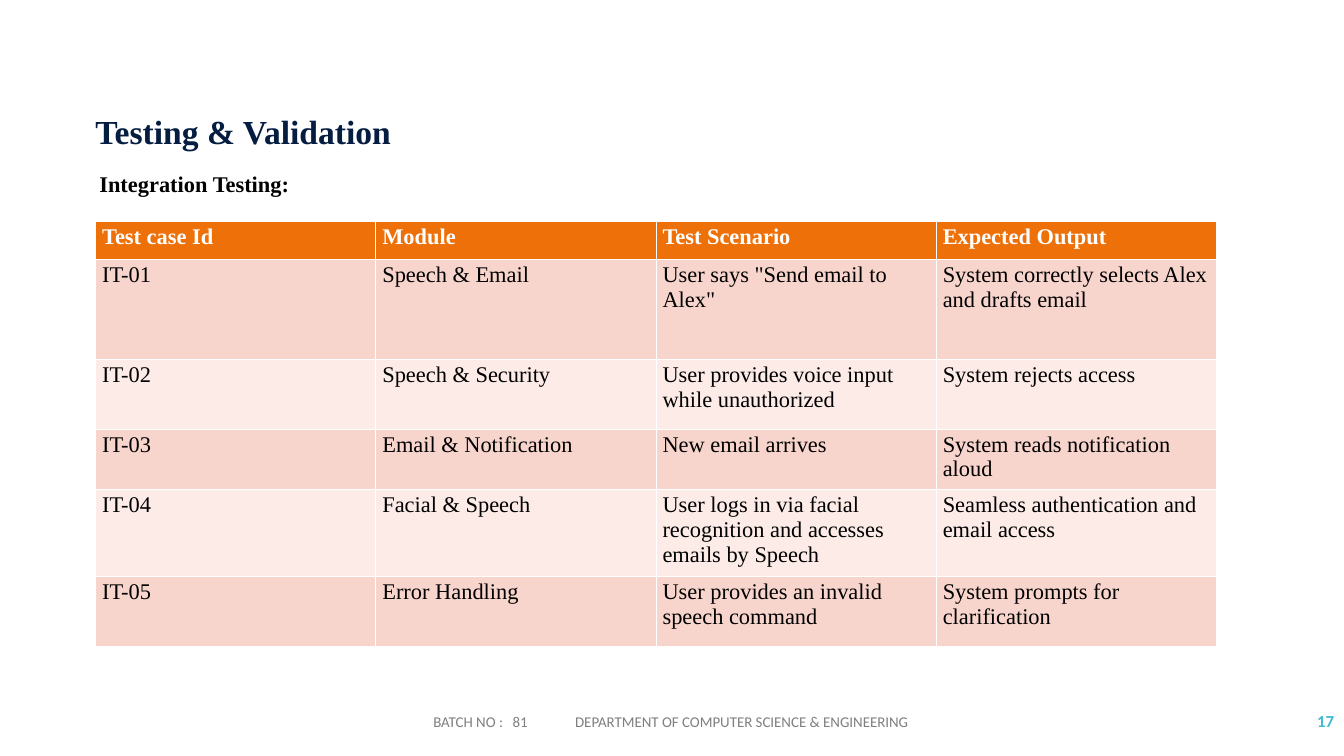
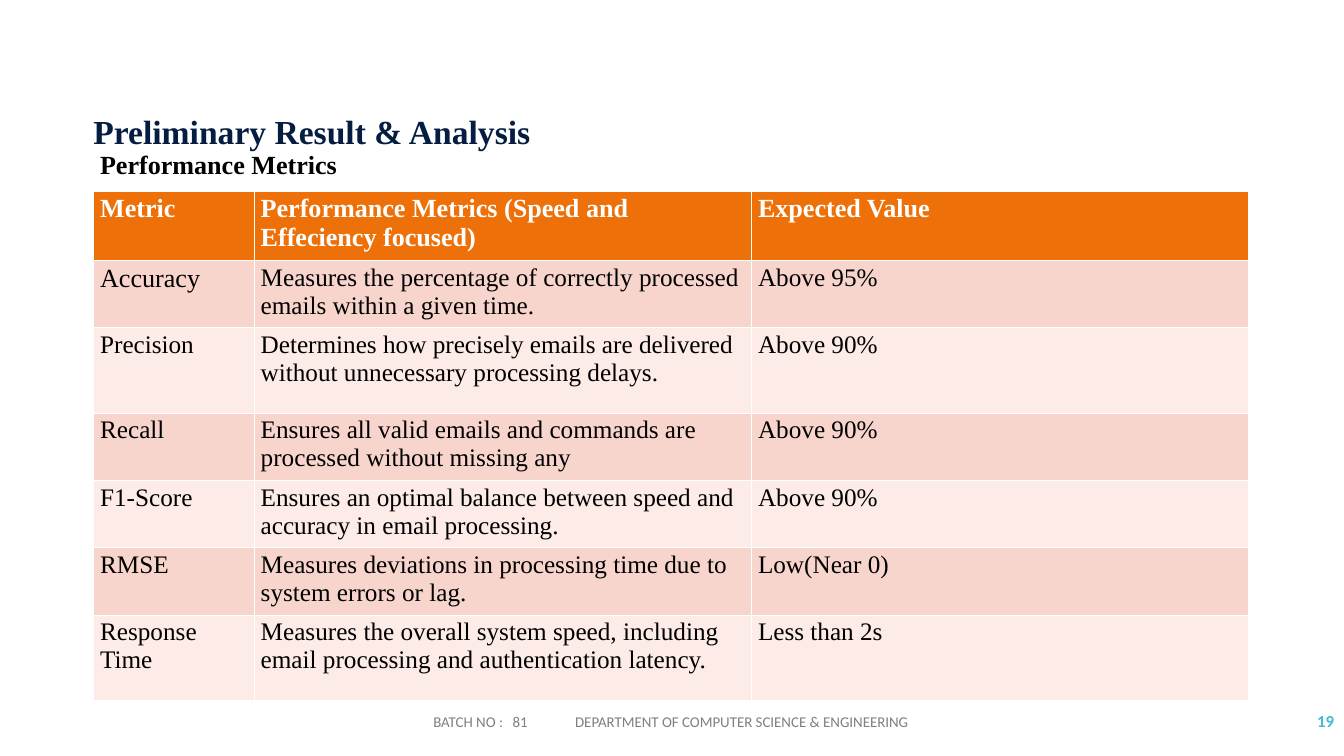
"""Builds the testing and result slides of a project review."""
from lxml import etree
from pptx import Presentation
from pptx.dml.color import RGBColor
from pptx.enum.text import MSO_ANCHOR, PP_ALIGN
from pptx.oxml.ns import qn
from pptx.util import Inches, Pt

LEFT, RIGHT = PP_ALIGN.LEFT, PP_ALIGN.RIGHT
TOP, MIDDLE = MSO_ANCHOR.TOP, MSO_ANCHOR.MIDDLE
NAVY = RGBColor(0x05, 0x1D, 0x40)
BLACK = RGBColor(0, 0, 0)
WHITE = RGBColor(0xFF, 0xFF, 0xFF)
GREY = RGBColor(0x7F, 0x7F, 0x7F)
CYAN = RGBColor(0x40, 0xBA, 0xD2)
ORANGE = RGBColor(0xEE, 0x70, 0x08)
BANDS = (RGBColor(0xFC, 0xEB, 0xE7), RGBColor(0xF8, 0xD5, 0xCC))
SERIF, SANS = "Times New Roman", "Calibri"
THIN, THICK = 0.45, 1.47
FOOTER = "BATCH NO :\t81\tDEPARTMENT OF COMPUTER SCIENCE & ENGINEERING"

TESTS = [
    ("Test case Id", "Module", "Test Scenario", "Expected Output"),
    ("IT-01", "Speech & Email", 'User says "Send email to Alex"',
     "System correctly selects Alex and drafts email"),
    ("IT-02", "Speech & Security", "User provides voice input while unauthorized",
     "System rejects access"),
    ("IT-03", "Email & Notification", "New email arrives",
     "System reads notification aloud"),
    ("IT-04", "Facial & Speech",
     "User logs in via facial recognition and accesses emails by Speech",
     "Seamless authentication and email access"),
    ("IT-05", "Error Handling", "User provides an invalid speech command",
     "System prompts for clarification"),
]
METRICS = [
    ("Metric", "Performance Metrics (Speed and Effeciency focused)", "Expected Value"),
    ("Accuracy",
     "Measures the percentage of correctly processed emails within a given time.",
     "Above 95%"),
    ("Precision",
     "Determines how precisely emails are delivered without unnecessary processing delays.",
     "Above 90%"),
    ("Recall",
     "Ensures all valid emails and commands are processed without missing any",
     "Above 90%"),
    ("F1-Score",
     "Ensures an optimal balance between speed and accuracy in email processing.",
     "Above 90%"),
    ("RMSE",
     "Measures deviations in processing time due to system errors or lag.",
     "Low(Near 0)"),
    ("Response Time",
     "Measures the overall system speed, including email processing and authentication latency.",
     "Less than 2s"),
]


def write(frame, text, size=24, color=BLACK, bold=False, font=SERIF,
          align=LEFT, line=None, tabs=()):
    """Fill a text frame with one formatted paragraph."""
    para = frame.paragraphs[0]
    para.alignment = align
    if line:
        para.line_spacing = Pt(line)
    if tabs:
        stops = etree.SubElement(para._p.get_or_add_pPr(), qn("a:tabLst"))
        for stop in tabs:
            etree.SubElement(stops, qn("a:tab"), pos=str(Inches(stop)), algn="l")
    run = para.add_run()
    run.text = text
    run.font.size, run.font.name, run.font.bold = Pt(size), font, bold
    run.font.color.rgb = color


def edge(cell, side, width):
    """Draw one white border of a cell."""
    line = etree.SubElement(cell._tc.get_or_add_tcPr(), qn("a:ln" + side),
                            w=str(Pt(width)))
    fill = etree.SubElement(line, qn("a:solidFill"))
    etree.SubElement(fill, qn("a:srgbClr"), val=str(WHITE))


class Deck:
    """Holds the shared style and the current slide."""

    def __init__(self):
        self.prs = Presentation()
        self.prs.slide_width, self.prs.slide_height = Inches(20), Inches(11.25)
        self.slide = None

    def text(self, box, text, pad=True, anchor=TOP, **style):
        """Add a text box."""
        frame = self.slide.shapes.add_textbox(*map(Inches, box)).text_frame
        frame.word_wrap = True
        frame.vertical_anchor = anchor
        if not pad:
            frame.margin_left = frame.margin_right = 0
            frame.margin_top = frame.margin_bottom = 0
        write(frame, text, **style)

    def page(self, title, left, number):
        """Start a slide with its title and footer."""
        self.slide = self.prs.slides.add_slide(self.prs.slide_layouts[6])
        self.text((left, 1.38, 13.92, 0.88), title, pad=False,
                  size=36, color=NAVY, bold=True, line=63)
        self.text((17.44, 10.43, 2.51, 0.6), str(number), anchor=MIDDLE,
                  size=18, color=CYAN, bold=True, font=SANS, align=RIGHT)
        self.text((6.35, 10.43, 9.7, 0.6), FOOTER, anchor=MIDDLE,
                  size=16, color=GREY, font=SANS, tabs=(1.18, 2.11))

    def table(self, left, top, cols, rows, data, size):
        """Add a banded table; size gives the text size of a cell."""
        table = self.slide.shapes.add_table(
            len(rows), len(cols), Inches(left), Inches(top),
            Inches(sum(cols)), Inches(sum(rows))).table
        table.horz_banding = False
        for col, width in zip(table.columns, cols):
            col.width = Inches(width)
        for r, (row, height) in enumerate(zip(table.rows, rows)):
            row.height = Inches(height)
            head = r == 0
            for c, cell in enumerate(row.cells):
                for side in "LR":
                    edge(cell, side, THIN)
                edge(cell, "T", THICK if r == 1 else THIN)
                edge(cell, "B", THICK if head else THIN)
                cell.fill.solid()
                cell.fill.fore_color.rgb = ORANGE if head else BANDS[r % 2]
                write(cell.text_frame, data[r][c], size=size(r, c),
                      color=WHITE if head else BLACK, bold=head)


def main():
    """Build both slides and save them."""
    deck = Deck()
    deck.page("Testing & Validation", 1.42, 17)
    deck.text((1.38, 2.48, 3.17, 0.5), "Integration Testing:", bold=True)
    deck.table(1.42, 3.29, [4.17] * 4, [0.57, 1.49, 1.03, 0.9, 1.3, 1.03],
               TESTS, lambda r, c: 24)

    deck.page("Preliminary Result & Analysis", 1.39, 19)
    deck.text((1.39, 2.16, 3.87, 0.57), "Performance Metrics", size=28, bold=True)
    deck.table(1.39, 2.84, [2.39, 7.4, 7.4], [1.03, 1, 1.27, 1, 1, 1, 1.27],
               METRICS, lambda r, c: 28 if (r, c) <= (1, 0) else 27)
    deck.prs.save("out.pptx")


if __name__ == "__main__":
    main()
